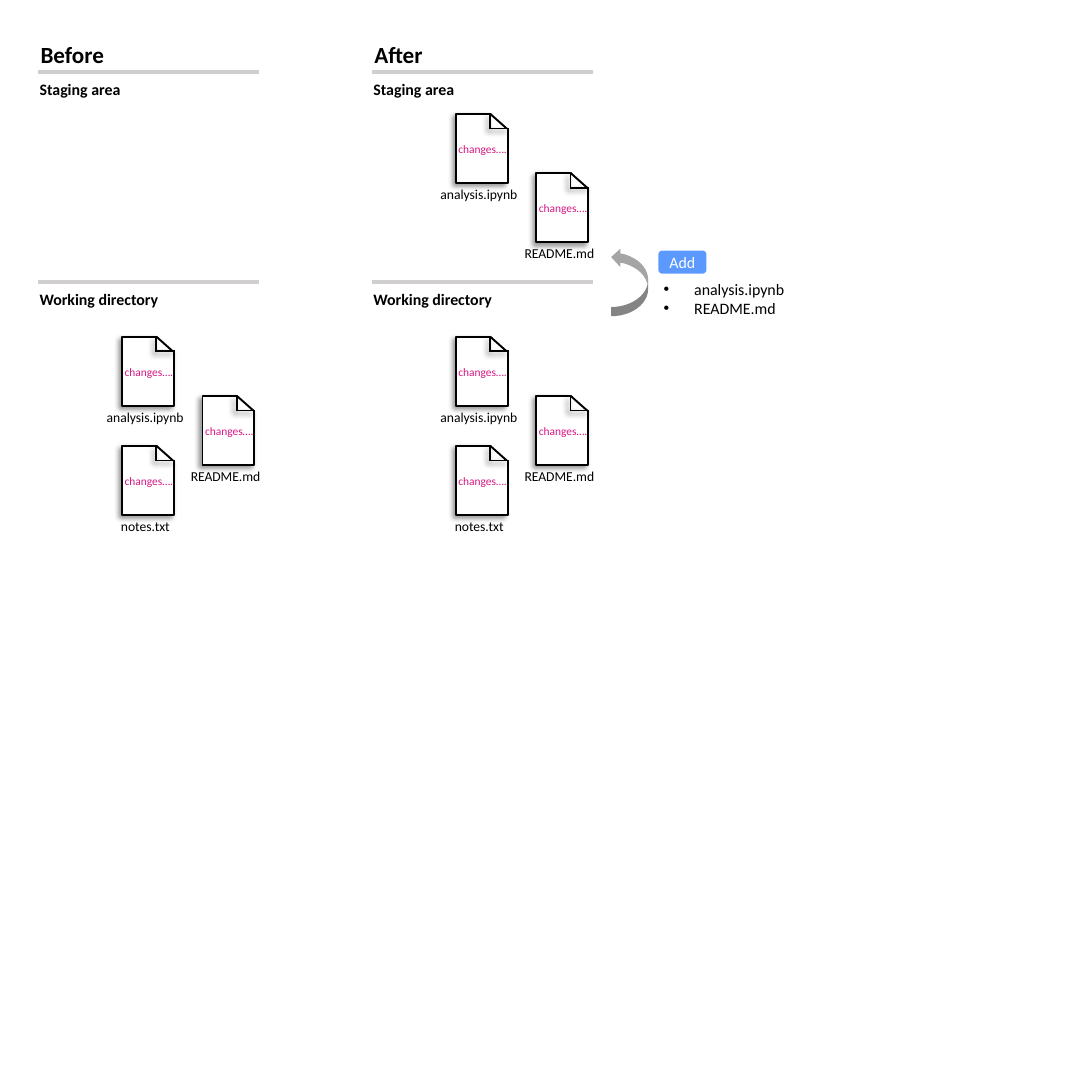
from lxml.etree import SubElement
from pptx import Presentation
from pptx.dml.color import RGBColor
from pptx.enum.shapes import MSO_CONNECTOR, MSO_SHAPE
from pptx.enum.text import MSO_ANCHOR, MSO_AUTO_SIZE, PP_ALIGN
from pptx.oxml.ns import qn
from pptx.util import Inches, Pt

BLACK, WHITE, RULE_GREY, ARROW_GREY = "000000", "FFFFFF", "D0CECE", "A5A5A5"
CHANGE_PINK, ADD_BLUE = "D61784", "5B99FF"
HEADING = {"size": Pt(18), "bold": True}
SECTION = {"size": Pt(12.4), "bold": True}
FILE_NAME = {"size": Pt(10.6)}
ACTION = {"size": Pt(12.4)}

PANEL_LEFT, PANEL_STEP, PANEL_TOP, PANEL_WIDTH = 0.41, 3.61, 0.39, 2.39
STAGING_TOP, WORKING_TOP = 0.39, 2.66  # below the top of a panel
SHEET_WIDTH, SHEET_HEIGHT, FOLD = 0.56, 0.75, 0.37
# file name: sheet left and top within its cluster, width of the name
FILES = {
    "analysis.ipynb": (0, 0, 1.05),
    "README.md": (0.87, 0.64, 0.97),
    "notes.txt": (0, 1.18, 0.74),
}
STAGED = ["analysis.ipynb", "README.md"]


def color(value):
    return RGBColor.from_string(value)


def set_effects(shape, shadow):
    """Give a shape or connector a soft shadow, or none; call after its line is set."""
    effects = SubElement(shape.element.spPr, qn("a:effectLst"))
    if shadow:
        outer = SubElement(effects, qn("a:outerShdw"), blurRad=str(Pt(4)),
                           dist=str(Pt(3)), dir=str(135 * 60000), rotWithShape="0")
        tint = SubElement(outer, qn("a:srgbClr"), val=BLACK)
        SubElement(tint, qn("a:alpha"), val="40000")


def add_run(paragraph, text, style, fill=BLACK):
    run = paragraph.add_run()
    run.text = text
    run.font.name = "Calibri"
    run.font.color.rgb = color(fill)
    for name, value in style.items():
        setattr(run.font, name, value)


def add_text(shapes, box, text, style, fill=BLACK, wrap=False):
    frame = shapes.add_textbox(*map(Inches, box)).text_frame
    frame.word_wrap = wrap
    frame.auto_size = MSO_AUTO_SIZE.SHAPE_TO_FIT_TEXT
    add_run(frame.paragraphs[0], text, style, fill)
    return frame


def add_line(shapes, start, end, stroke=BLACK, width=1.5, shadow=False):
    line = shapes.add_connector(MSO_CONNECTOR.STRAIGHT, *map(Inches, (*start, *end)))
    line.line.color.rgb = color(stroke)
    line.line.width = Pt(width)
    set_effects(line, shadow)


def add_filled(shapes, preset, box, fill, outlined=False):
    """Add a preset shape; an outlined one also casts a shadow."""
    shape = shapes.add_shape(preset, *map(Inches, box))
    shape.fill.solid()
    shape.fill.fore_color.rgb = color(fill)
    if outlined:
        shape.line.color.rgb = color(BLACK)
        shape.line.width = Pt(1.5)
    else:
        shape.line.fill.background()
    set_effects(shape, outlined)
    return shape


def add_file(slide, left, top, name, name_width):
    """Draw a sheet with a folded corner, and its name below."""
    add_text(slide.shapes,
             (left + SHEET_WIDTH / 2 - name_width / 2 - 0.02, top + 0.73, name_width, 0.28),
             name, FILE_NAME)
    parts = slide.shapes.add_group_shape().shapes
    add_filled(parts, MSO_SHAPE.RECTANGLE, (left, top, SHEET_WIDTH, SHEET_HEIGHT),
               WHITE, outlined=True)
    corner = add_filled(parts, MSO_SHAPE.ISOSCELES_TRIANGLE,
                        (left + 0.29, top - 0.08, 0.48, 0.18), WHITE)
    corner.adjustments[0] = 0.53
    corner.rotation = 41.5
    fold = left + FOLD
    add_line(parts, (fold, top), (left + 0.55, top + 0.16))
    add_line(parts, (fold, top), (fold, top + 0.17), shadow=True)
    add_line(parts, (fold + 0.01, top + 0.16), (left + 0.57, top + 0.16), shadow=True)
    add_text(parts, (left - 0.07, top + 0.26, 0.93, 0.4), "changes….",
             {"size": Pt(8.9)}, CHANGE_PINK, wrap=True)


def add_section(slide, left, top, width, title, title_width, files, files_drop):
    add_line(slide.shapes, (left, top), (left + width, top), RULE_GREY, 3)
    add_text(slide.shapes, (left - 0.08, top + 0.03, title_width, 0.31), title, SECTION)
    for name in files:
        across, down, name_width = FILES[name]
        add_file(slide, left + 0.91 + across, top + files_drop + down, name, name_width)


def add_panel(slide, left, top, width, heading, heading_width, staged):
    add_text(slide.shapes, (left - 0.07, top, heading_width, 0.4), heading, HEADING)
    add_section(slide, left, top + STAGING_TOP, width, "Staging area", 1.09, staged, 0.45)
    add_section(slide, left, top + WORKING_TOP, width, "Working directory", 1.5, FILES, 0.59)


def add_action(slide, left, top):
    """Draw the arrow to the staging area with the Add button and the files added."""
    arrow = add_filled(slide.shapes, MSO_SHAPE.CURVED_LEFT_ARROW,
                       (left, top, 0.4, 0.74), ARROW_GREY)
    arrow.rotation = 180
    arrow.element.spPr.xfrm.set("flipH", "1")

    parts = slide.shapes.add_group_shape().shapes
    button = add_filled(parts, MSO_SHAPE.ROUNDED_RECTANGLE,
                        (left + 0.51, top + 0.03, 0.52, 0.25), ADD_BLUE)
    label = button.text_frame
    label.vertical_anchor = MSO_ANCHOR.MIDDLE
    label.margin_left = label.margin_right = 0
    label.paragraphs[0].alignment = PP_ALIGN.CENTER
    add_run(label.paragraphs[0], "Add", ACTION, WHITE)

    added = add_text(parts, (left + 0.47, top + 0.29, 1.53, 0.52), STAGED[0], ACTION)
    for name in STAGED[1:]:
        add_run(added.add_paragraph(), name, ACTION)
    for paragraph in added.paragraphs:
        properties = paragraph._p.get_or_add_pPr()
        properties.set("marL", str(Inches(0.33)))
        properties.set("indent", str(-Inches(0.33)))
        SubElement(properties, qn("a:buFont"), typeface="Arial")
        SubElement(properties, qn("a:buChar"), char="•")


def main():
    presentation = Presentation()
    presentation.slide_width = presentation.slide_height = Inches(11.81)
    slide = presentation.slides.add_slide(presentation.slide_layouts[6])
    panels = [("Before", 0.89, []), ("After", 0.74, STAGED)]
    for index, (heading, heading_width, staged) in enumerate(panels):
        add_panel(slide, PANEL_LEFT + index * PANEL_STEP, PANEL_TOP, PANEL_WIDTH,
                  heading, heading_width, staged)
    add_action(slide, 6.61, 2.68)
    presentation.save("out.pptx")


if __name__ == "__main__":
    main()
